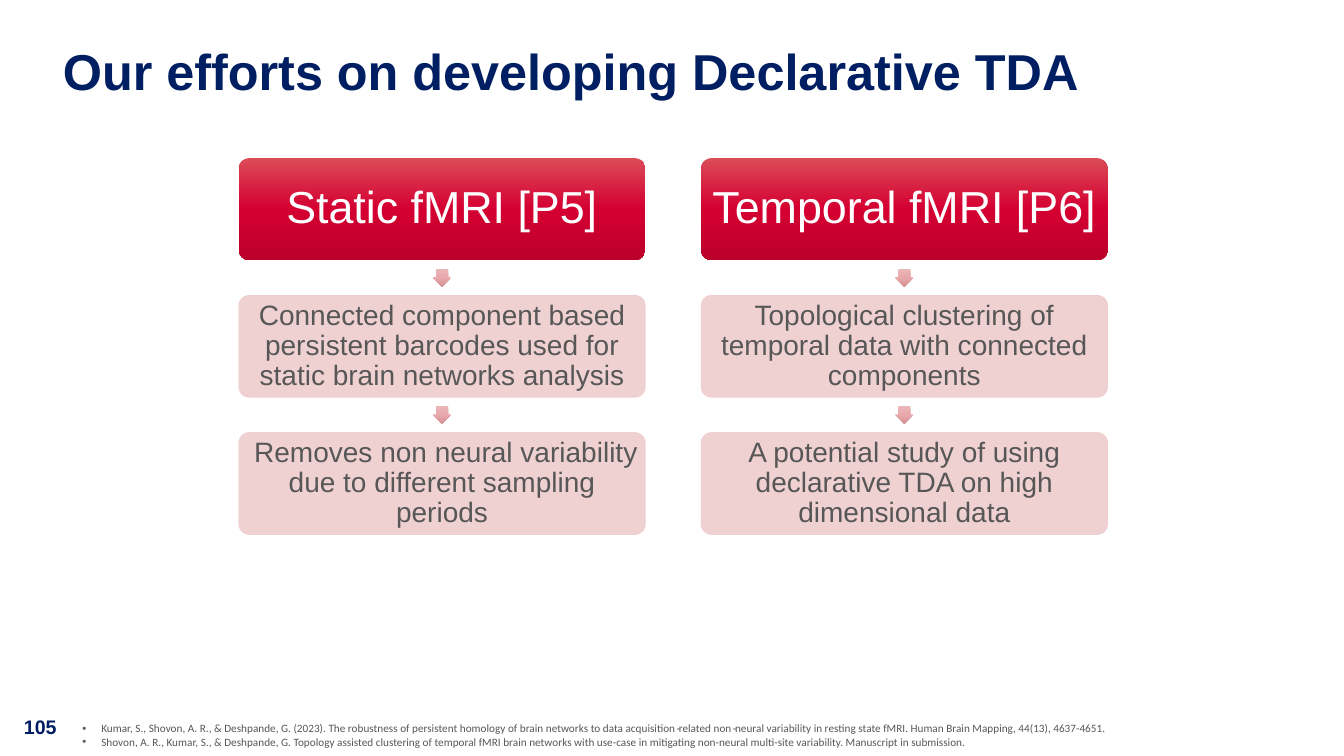
"""Build the slide on efforts towards declarative TDA."""
from copy import deepcopy

from lxml import etree
from pptx import Presentation, util as u
from pptx.dml.color import RGBColor
from pptx.enum import shapes, text
from pptx.oxml import ns

TITLE = "Our efforts on developing Declarative TDA"
NUMBER = "105"
COLUMNS = [
    ("Static fMRI [P5]", [
        "Connected component based persistent barcodes used for static brain networks analysis",
        " Removes non neural variability due to different sampling periods",
    ]),
    ("Temporal fMRI [P6]", [
        "Topological clustering of temporal data with connected components",
        "A potential study of using declarative TDA on high dimensional data",
    ]),
]
REFERENCES = [
    "Kumar, S., Shovon, A. R., & Deshpande, G. (2023). The robustness of persistent homology of "
    "brain networks to data acquisition‐related non‐neural variability in resting state fMRI. "
    "Human Brain Mapping, 44(13), 4637-4651.",
    "Shovon, A. R., Kumar, S., & Deshpande, G. Topology assisted clustering of temporal fMRI "
    "brain networks with use-case in mitigating non-neural multi-site variability. "
    "Manuscript in submission.",
]

NAVY = RGBColor(0x00, 0x1E, 0x62)
NUMBER_NAVY = RGBColor(0x00, 0x1E, 0x61)
WHITE = RGBColor(0xFF, 0xFF, 0xFF)
GREY = RGBColor(0x57, 0x57, 0x57)
PINK = RGBColor(0xEF, 0xCC, 0xCE)
HEAD_STOPS = [RGBColor(0xDB, 0x4B, 0x57), RGBColor(0xD4, 0x00, 0x32), RGBColor(0xBC, 0x00, 0x2C)]
ARROW_STOPS = [RGBColor(0xEA, 0xB7, 0xB9), RGBColor(0xE9, 0xA8, 0xAB), RGBColor(0xD4, 0x91, 0x94)]

TITLE_FONT = {"name": "Arial", "size": u.Pt(36), "bold": True}
NUMBER_FONT = {"name": "Arial", "size": u.Pt(14), "bold": True}
HEAD_FONT = {"name": "Arial", "size": u.Pt(32)}
STEP_FONT = {"name": "Arial", "size": u.Pt(20)}
REFERENCE_FONT = {"name": "Calibri", "size": u.Pt(8)}

LEFT, TOP = 170.7, 113
BOX_W, BOX_H = 290.2, 72.7
PITCH_X, PITCH_Y = 330.2, 98
ARROW = 12.8
INDENT = 13.5


def write(tf, lines, font, color, margins=None, **para):
    tf.word_wrap = True
    if margins is not None:
        for side in ("left", "top", "right", "bottom"):
            setattr(tf, f"margin_{side}", u.Pt(margins))
    for i, line in enumerate(lines):
        p = tf.paragraphs[0] if i == 0 else tf.add_paragraph()
        r = p.add_run()
        r.text = line
        for key, value in para.items():
            setattr(p, key, value)
        for key, value in font.items():
            setattr(r.font, key, value)
        r.font.color.rgb = color


def add_text(s, box, *args, **kwargs):
    sp = s.shapes.add_textbox(*map(u.Pt, box))
    write(sp.text_frame, *args, **kwargs)
    return sp


def add_preset(s, kind, box, adjustments):
    sp = s.shapes.add_shape(kind, *map(u.Pt, box))
    sp.shadow.inherit = False
    sp.line.fill.background()
    for i, value in enumerate(adjustments):
        sp.adjustments[i] = value
    return sp


def shade(sp, colors):
    sp.fill.gradient()
    sp.fill.gradient_angle = 270
    grad = sp.element.spPr.find(ns.qn("a:gradFill"))
    grad.set("rotWithShape", "0")
    stops = grad.find(ns.qn("a:gsLst"))
    stops.append(deepcopy(stops[-1]))
    for stop, color, position in zip(sp.fill.gradient_stops, colors, (0, 0.5, 1)):
        stop.color.rgb = color
        stop.position = position


def tint(sp):
    sp.fill.solid()
    sp.fill.fore_color.rgb = PINK
    sp.line.color.rgb = PINK
    sp.line.width = u.Pt(0.5)
    for color in sp.element.spPr.iter(ns.qn("a:srgbClr")):
        etree.SubElement(color, ns.qn("a:alpha")).set("val", "90000")


def add_box(s, x, y, line, font, color, margins):
    sp = add_preset(s, shapes.MSO_SHAPE.ROUNDED_RECTANGLE, (x, y, BOX_W, BOX_H), [0.1])
    sp.text_frame.vertical_anchor = text.MSO_ANCHOR.MIDDLE
    write(sp.text_frame, [line], font, color, margins,
          alignment=text.PP_ALIGN.CENTER, line_spacing=0.9)
    return sp


def add_arrow(s, x, y):
    sp = add_preset(s, shapes.MSO_SHAPE.RIGHT_ARROW, (x, y, ARROW, ARROW), [0.667, 0.5])
    sp.rotation = 90
    shade(sp, ARROW_STOPS)


def add_column(s, x, head, steps):
    shade(add_box(s, x, TOP, head, HEAD_FONT, WHITE, 2.9), HEAD_STOPS)
    for row, step in enumerate(steps, 1):
        y = TOP + row * PITCH_Y
        gap = PITCH_Y - BOX_H
        add_arrow(s, x + (BOX_W - ARROW) / 2, y - (gap + ARROW) / 2)
        tint(add_box(s, x, y, step, STEP_FONT, GREY, 2))


def add_references(s):
    sp = add_text(s, (51.8, 511.9, 797.8, 26.6), REFERENCES, REFERENCE_FONT, GREY)
    for p in sp.text_frame.paragraphs:
        pr = p._p.get_or_add_pPr()
        pr.set("marL", str(u.Pt(INDENT)))
        pr.set("indent", str(-u.Pt(INDENT)))
        etree.SubElement(pr, ns.qn("a:buFont")).set("typeface", "Arial")
        etree.SubElement(pr, ns.qn("a:buChar")).set("char", "•")


def main():
    prs = Presentation()
    prs.slide_width, prs.slide_height = u.Pt(960), u.Pt(540)
    s = prs.slides.add_slide(prs.slide_layouts[6])
    add_text(s, (10, 506.9, 47.5, 24.5), [NUMBER], NUMBER_FONT, NUMBER_NAVY)
    add_text(s, (44.9, 33.8, 869.8, 64), [TITLE], TITLE_FONT, NAVY, 0, line_spacing=0.9)
    for i, (head, steps) in enumerate(COLUMNS):
        add_column(s, LEFT + i * PITCH_X, head, steps)
    add_references(s)
    prs.save("out.pptx")


if __name__ == "__main__":
    main()
